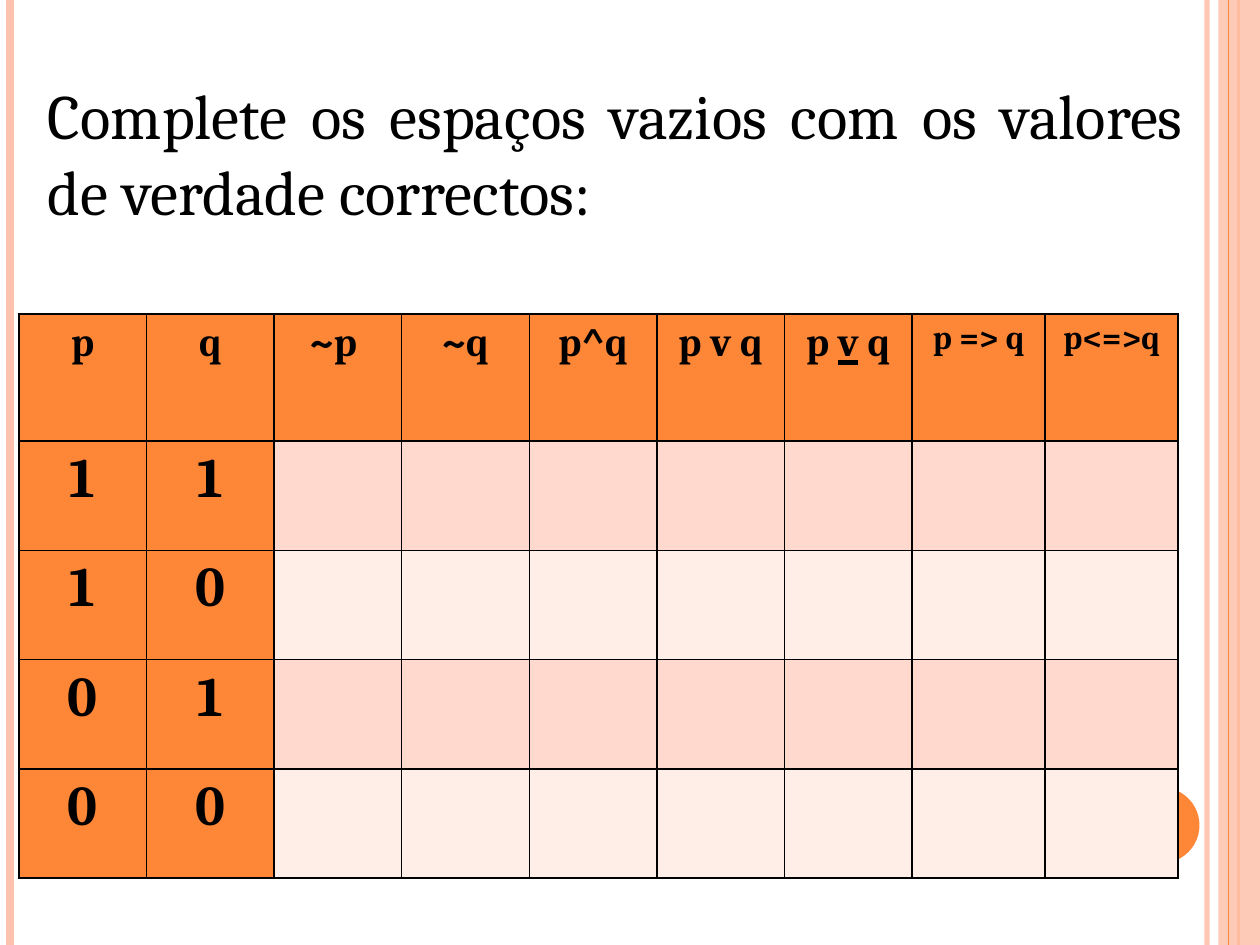
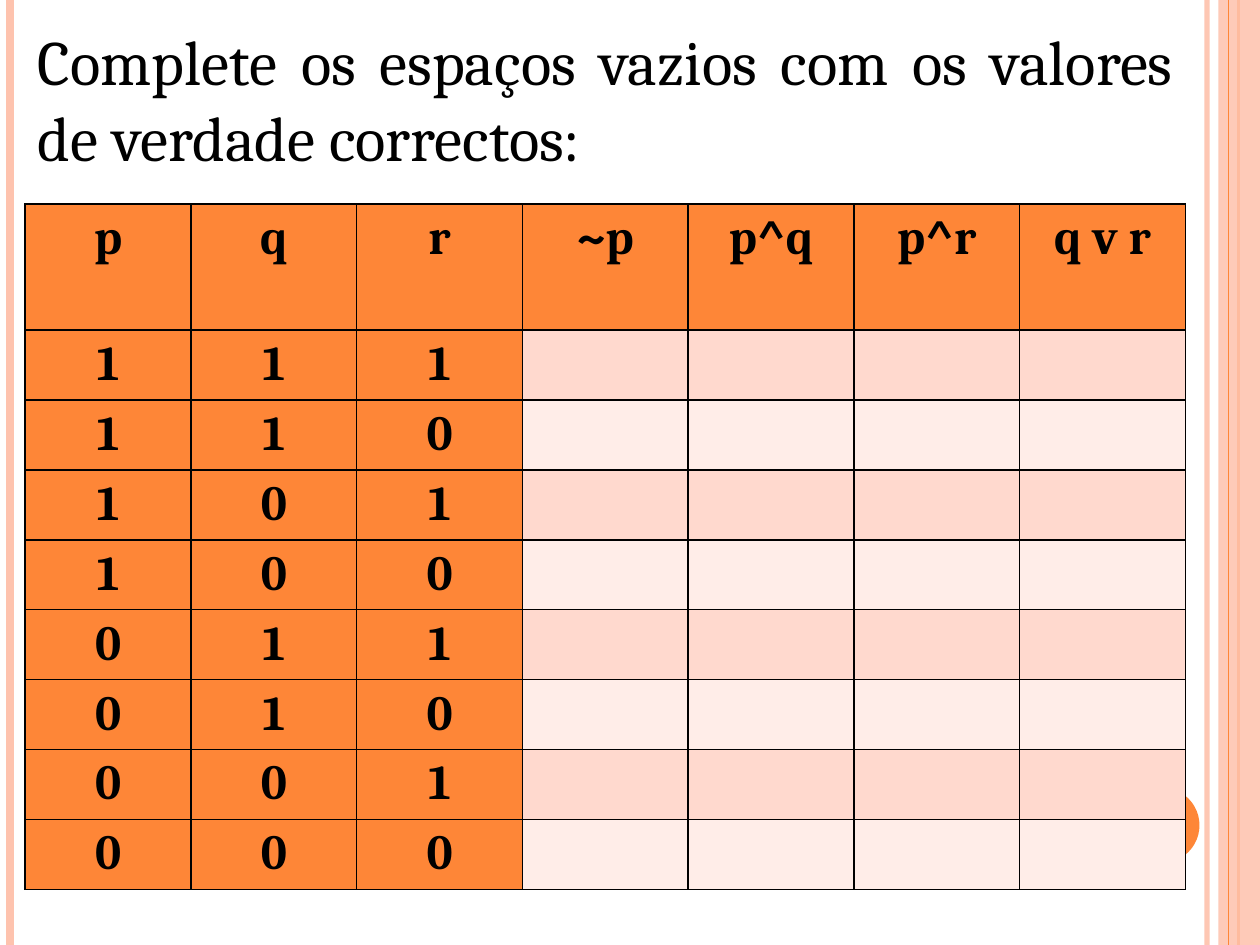
from dataclasses import dataclass
from itertools import product

from lxml.etree import SubElement
from pptx import Presentation
from pptx.dml.color import RGBColor
from pptx.enum.shapes import MSO_CONNECTOR, MSO_SHAPE
from pptx.enum.text import MSO_ANCHOR, MSO_AUTO_SIZE, PP_ALIGN
from pptx.oxml.ns import qn
from pptx.util import Inches, Pt


@dataclass(frozen=True)
class Theme:
    """Colours, font and type sizes shared by the slides."""
    orange: str = "FE8637"
    peach: str = "FEC3AE"
    bands: tuple = ("FFD9CE", "FFEDE8")
    ink: str = "000000"
    font: str = "Cambria"
    title: int = 36
    border: float = 1


THEME = Theme()
WIDTH, HEIGHT = 10, 7.5
QUESTION = "Complete os espaços vazios com os valores de verdade correctos:"


def style_font(font, size, bold=False):
    """Give a font the theme face and ink."""
    for name, value in {"name": THEME.font, "size": Pt(size), "bold": bold}.items():
        setattr(font, name, value)
    font.color.rgb = RGBColor.from_string(THEME.ink)


def set_alpha(el, percent):
    """Make the colour inside an element partly transparent."""
    color = next(el.iter(qn("a:srgbClr")))
    SubElement(color, qn("a:alpha"), val=str(percent * 1000))


def add_line(s, start, end, color, width):
    """Add a straight line without a shadow."""
    points = [Inches(v) for v in (*start, *end)]
    line = s.shapes.add_connector(MSO_CONNECTOR.STRAIGHT, *points)
    line.line.color.rgb = RGBColor.from_string(color)
    line.line.width = Pt(width)
    SubElement(line.element.spPr, qn("a:effectLst"))
    return line


def add_filled(s, kind, box, color):
    """Add a borderless filled shape."""
    sp = s.shapes.add_shape(kind, *[Inches(v) for v in box])
    sp.shadow.inherit = False
    sp.fill.solid()
    sp.fill.fore_color.rgb = RGBColor.from_string(color)
    sp.line.fill.background()
    return sp


def add_master_bands(prs, s):
    """Draw the side bands and the disc, then hand them to the slide master."""
    def rule(x, color, width):
        return add_line(s, (x, 0), (x, HEIGHT), color, width)

    inner = rule(9.58, THEME.peach, 3)
    set_alpha(inner.element, 93)
    left = rule(0.08, THEME.peach, 4.5)
    outer = rule(9.83, THEME.orange, 1.5)
    band = add_filled(s, MSO_SHAPE.RECTANGLE, (9.67, 0, 0.33, HEIGHT), THEME.peach)
    set_alpha(band.element.spPr, 87)
    thin = rule(9.75, THEME.orange, 0.75)
    disc = add_filled(s, MSO_SHAPE.OVAL, (8.92, 6.25, 0.6, 0.6), THEME.orange)
    tree = prs.slide_master.shapes.element
    for i, sp in enumerate((inner, left, outer, band, thin, disc)):
        next(sp.element.iter(qn("p:cNvPr"))).set("id", str(20 + i))
        tree.insert(2 + i, sp.element)


def add_question(s, left, top):
    """Place the question in the title placeholder."""
    title = s.shapes.title
    box = {"left": left, "top": top, "width": 9.21, "height": 1.31}
    for name, value in box.items():
        setattr(title, name, Inches(value))
    tf = title.text_frame
    for name, value in {"word_wrap": True, "auto_size": MSO_AUTO_SIZE.NONE,
                        "vertical_anchor": MSO_ANCHOR.TOP}.items():
        setattr(tf, name, value)
    p = tf.paragraphs[0]
    p.alignment = PP_ALIGN.JUSTIFY
    r = p.add_run()
    r.text = QUESTION
    style_font(r.font, THEME.title)


def format_cell(cell, text, color, size):
    """Border, fill and write one table cell."""
    tc_pr = cell._tc.get_or_add_tcPr()
    for side in ("lnL", "lnR", "lnT", "lnB"):
        ln = SubElement(tc_pr, qn(f"a:{side}"), w=str(Pt(THEME.border)))
        SubElement(SubElement(ln, qn("a:solidFill")), qn("a:srgbClr"), val=THEME.ink)
    cell.fill.solid()
    cell.fill.fore_color.rgb = RGBColor.from_string(color)
    if text:
        p = cell.text_frame.paragraphs[0]
        p.alignment = PP_ALIGN.CENTER
        r = p.add_run()
        r.text = text
        style_font(r.font, size, bold=True)


def add_truth_table(s, box, headers, values, head_height, head_size, body_size):
    """Fill a box with a header row, the given values and blank answer cells."""
    left, top, width, height = box
    frame = s.shapes.add_table(len(values) + 1, len(headers), *[Inches(v) for v in box])
    table = frame.table
    for name in ("first_row", "horz_banding"):
        setattr(table, name, False)
    for col in table.columns:
        col.width = Inches(width / len(headers))
    for i, row in enumerate(table.rows):
        row.height = Inches((height - head_height) / len(values) if i else head_height)
    for cell, text in zip(table.rows[0].cells, headers):
        format_cell(cell, text, THEME.orange, head_size)
    for i, known in enumerate(values):
        for j, cell in enumerate(table.rows[i + 1].cells):
            if j < len(known):
                format_cell(cell, str(known[j]), THEME.orange, body_size)
            else:
                format_cell(cell, "", THEME.bands[i % 2], body_size)


def build_two_variables(s):
    """Build the exercise on p and q."""
    top, height, head = 2.49, 4.48, 1.01
    add_truth_table(s, (0.15, top, 7.09, height),
                    ("p", "q", "~p ", "~q", "p^q", "p v q", "p v q"),
                    list(product((1, 0), repeat=2)), head, 23, 32)
    add_question(s, 0.28, 0.56)
    add_line(s, (6.65, top + 0.39), (6.81, top + 0.39), THEME.ink, 3)
    add_truth_table(s, (7.24, top, 2.11, height), ("p => q", "p<=>q"),
                    [()] * 4, head, 19, 32)


def build_three_variables(s):
    """Build the exercise on p, q and r."""
    add_truth_table(s, (0.2, 1.62, 9.21, 5.44),
                    ("p", "q", "r", "~p", "p^q", "p^r", "q v r"),
                    list(product((1, 0), repeat=3)), 1, 28, 28)
    add_question(s, 0.2, 0.13)


def main():
    """Build and save the presentation."""
    prs = Presentation()
    prs.slide_width, prs.slide_height = Inches(WIDTH), Inches(HEIGHT)
    title_only = prs.slide_layouts[5]
    first, second = [prs.slides.add_slide(title_only) for _ in range(2)]
    add_master_bands(prs, first)
    build_two_variables(first)
    build_three_variables(second)
    prs.save("out.pptx")


if __name__ == "__main__":
    main()
